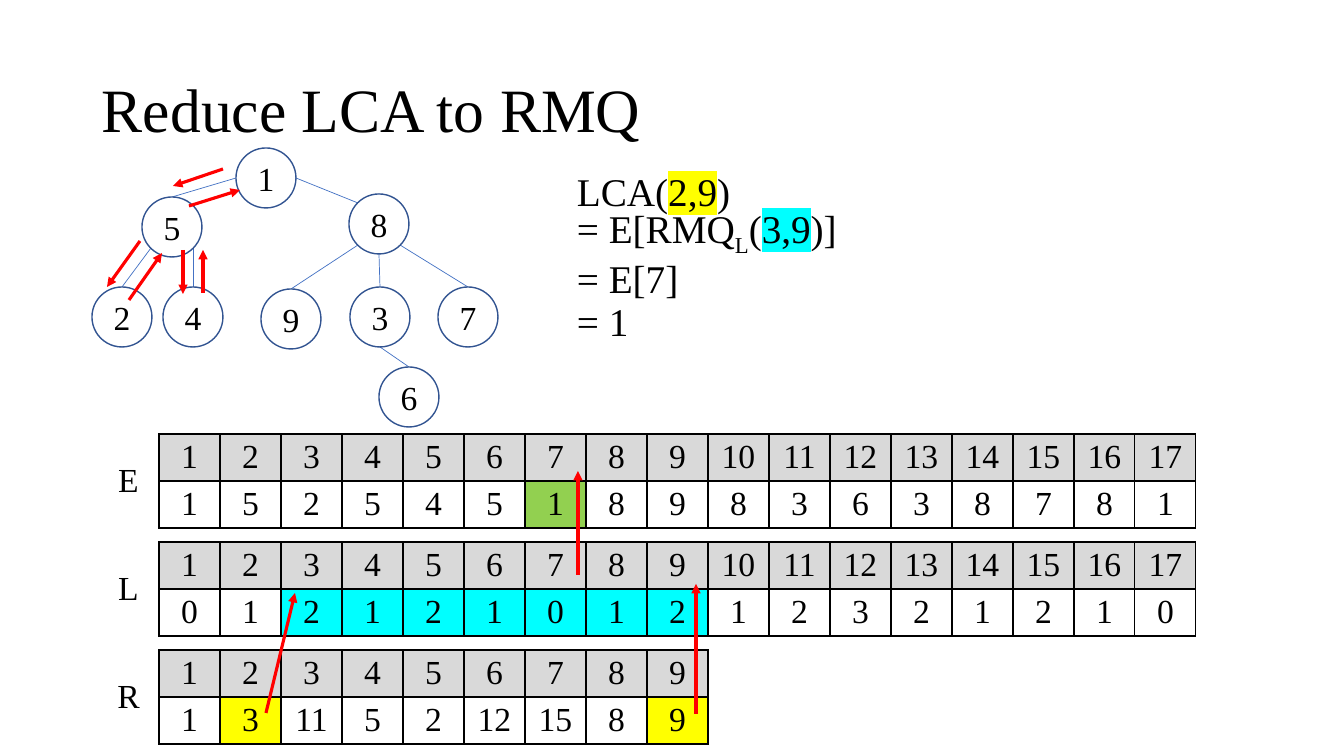
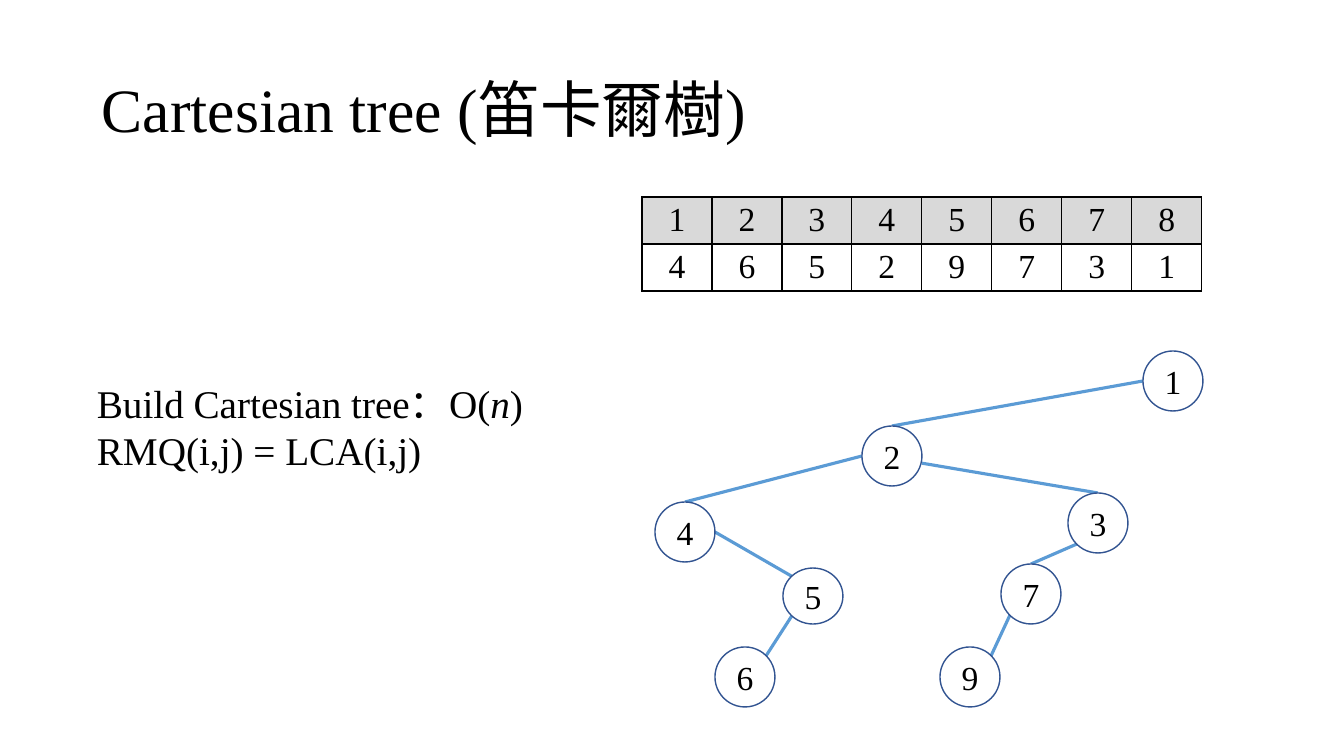
from lxml import etree
from pptx import Presentation
from pptx import util as u
from pptx.dml.color import RGBColor
from pptx.enum import shapes, text
from pptx.oxml import ns

# Shared style
PX = 12192000 / 1344
LATIN, CJK = "Times New Roman", "Noto Sans CJK SC"
BLACK, WHITE, GRAY = "000000", "FFFFFF", "D9D9D9"
YELLOW, CYAN, GREEN, RED = "FFFF00", "00FFFF", "92D050", "FF0000"
OUTLINE, THIN_EDGE, THICK_EDGE = "325491", "4472C4", "5B9BD5"
NODE, ROW_H = 60, 47
TITLE_BOX = (92, 40, 1159, 146)
# Points on a node's box, as fractions of its width and height
PORTS = {"n": (0.5, 0), "s": (0.5, 1), "w": (0, 0.5), "e": (1, 0.5),
         "nw": (0.15, 0.15), "ne": (0.85, 0.15),
         "sw": (0.15, 0.85), "se": (0.85, 0.85), "ese": (1, 0.62)}

# Slide 1: tree, walk, arrays
LCA_TITLE = "Reduce LCA to RMQ"
LCA_NODES = {1: (236, 148), 5: (142, 197), 2: (92, 287), 4: (163, 287),
             8: (349, 194), 9: (261, 289), 3: (350, 287), 6: (379, 367),
             7: (438, 287)}
LCA_EDGES = [(1, "w", 5, "n"), (5, "sw", 2, "n"), (5, "se", 4, "n"),
             (1, "e", 8, "nw"), (8, "sw", 9, "n"), (8, "se", 7, "n"),
             (8, "s", 3, "n"), (3, "s", 6, "n")]
WALK_ARROWS = [(223, 169, 173, 186), (140, 241, 107, 287),
               (129, 300, 162, 253), (183, 250, 183, 294),
               (203, 293, 203, 250), (189, 206, 240, 190)]
LOOKUP_ARROWS = [(266, 713, 295, 593), (696, 714, 696, 584),
                 (578, 575, 578, 471)]
# Label, values, {index: highlight}
ARRAYS = [
    ("E", [1, 5, 2, 5, 4, 5, 1, 8, 9, 8, 3, 6, 3, 8, 7, 8, 1], {7: GREEN}),
    ("L", [0, 1, 2, 1, 2, 1, 0, 1, 2, 1, 2, 3, 2, 1, 2, 1, 0],
     dict.fromkeys(range(3, 10), CYAN)),
    ("R", [1, 3, 11, 5, 2, 12, 15, 8, 9], {2: YELLOW, 9: YELLOW}),
]
# Lines of (text, style) runs
LCA_LINES = [
    [("LCA(", {}), ("2,9", {"mark": YELLOW}), (")", {})],
    [("= E[RMQ", {}), ("L", {"sub": True}), ("(", {}),
     ("3,9", {"mark": CYAN}), (")]", {})],
    [("= E[7]", {})],
    [("= 1", {})],
]

# Slide 2: array, tree, costs
CARTESIAN_TITLE = "Cartesian tree (笛卡爾樹)"
CARTESIAN_VALUES = [4, 6, 5, 2, 9, 7, 3, 1]
CARTESIAN_NODES = {9: (940, 647), 7: (1001, 564), 3: (1068, 493),
                   1: (1143, 351), 2: (862, 426), 4: (655, 502),
                   5: (783, 568, 56), 6: (715, 647)}
CARTESIAN_EDGES = [(2, "ese", 3, "n"), (3, "sw", 7, "n"), (7, "sw", 9, "ne"),
                   (1, "w", 2, "n"), (2, "w", 4, "n"), (4, "e", 5, "nw"),
                   (5, "sw", 6, "ne")]
CARTESIAN_LINES = [
    [("Build Cartesian tree：O(", {}), ("n", {"italic": True}), (")", {})],
    [("RMQ(i,j) = LCA(i,j)", {})],
]


def px(*values):
    return [u.Emu(round(v * PX)) for v in values]


def color(value):
    return RGBColor.from_string(value)


def sub(parent, tag, **attrs):
    return etree.SubElement(parent, ns.qn(tag), attrs)


def style_run(r, size, mark=None, sub_script=False, italic=False):
    r.font.size = u.Pt(size)
    r.font.color.rgb = color(BLACK)
    rpr = r.font._element
    if italic:
        r.font.italic = True
    if sub_script:
        rpr.set("baseline", "-25000")
    if mark:
        sub(sub(rpr, "a:highlight"), "a:srgbClr", val=mark)
    r.font.name = LATIN
    sub(rpr, "a:ea", typeface=CJK)


def add_runs(p, runs, size):
    for words, style in runs:
        r = p.add_run()
        r.text = words
        style_run(r, size, style.get("mark"), style.get("sub", False),
                  style.get("italic", False))


def center_text(tf, words, size=24):
    p = tf.paragraphs[0]
    p.text = str(words)
    p.alignment = text.PP_ALIGN.CENTER
    style_run(p.runs[0], size)


def add_box(s, box):
    tf = s.shapes.add_textbox(*px(*box)).text_frame
    tf.word_wrap = True
    return tf


def add_slide(prs, title):
    s = prs.slides.add_slide(prs.slide_layouts[6])
    tf = add_box(s, TITLE_BOX)
    tf.vertical_anchor = text.MSO_ANCHOR.MIDDLE
    p = tf.paragraphs[0]
    p.line_spacing = 0.9
    add_runs(p, [(title, {})], 44)
    return s


def add_line(s, ends, line_color, width, arrow=False):
    line = s.shapes.add_connector(shapes.MSO_CONNECTOR.STRAIGHT, *px(*ends))
    line.line.color.rgb = color(line_color)
    line.line.width = u.Pt(width)
    if arrow:
        sub(line.line._get_or_add_ln(), "a:tailEnd", type="triangle")
    sub(line._element.spPr, "a:effectLst")


def add_tree(s, nodes, edges, edge_color, edge_width):
    def port(name, side):
        x, y, *height = nodes[name]
        fx, fy = PORTS[side]
        return x + fx * NODE, y + fy * (height[0] if height else NODE)

    for parent, out, child, into in edges:
        add_line(s, port(parent, out) + port(child, into),
                 edge_color, edge_width)
    for name, (x, y, *height) in nodes.items():
        sp = s.shapes.add_shape(shapes.MSO_SHAPE.OVAL,
                                *px(x, y, NODE, *(height or [NODE])))
        sp.shadow.inherit = False
        sp.fill.solid()
        sp.fill.fore_color.rgb = color(WHITE)
        sp.line.color.rgb = color(OUTLINE)
        sp.line.width = u.Pt(1)
        tf = sp.text_frame
        tf.margin_left = tf.margin_right = 0
        tf.margin_top = tf.margin_bottom = 0
        tf.vertical_anchor = text.MSO_ANCHOR.MIDDLE
        center_text(tf, name)


def style_cell(cell, fill, sides):
    tcpr = cell._tc.get_or_add_tcPr()
    for side in "LRTB":
        ln = sub(tcpr, f"a:ln{side}", w="12700")
        if side in sides:
            sub(sub(ln, "a:solidFill"), "a:srgbClr", val=BLACK)
        else:
            sub(ln, "a:noFill")
    if fill:
        cell.fill.solid()
        cell.fill.fore_color.rgb = color(fill)
    else:
        cell.fill.background()
    cell.margin_left = cell.margin_right = 0
    cell.margin_top = cell.margin_bottom = 0
    cell.vertical_anchor = text.MSO_ANCHOR.MIDDLE


def add_array(s, x, y, col_w, values, marks, label=None):
    """Index row over value row, with an optional label column at the left."""
    first = 1 if label else 0
    cols = len(values) + first
    table = s.shapes.add_table(
        2, cols, *px(x, y, col_w * cols, 2 * ROW_H)).table
    table.first_row = table.horz_banding = False
    for col in table.columns:
        col.width = px(col_w)[0]
    for row in table.rows:
        row.height = px(ROW_H)[0]
    if label:
        for i in range(2):
            style_cell(table.cell(i, 0), None, "R")
        table.cell(0, 0).merge(table.cell(1, 0))
        center_text(table.cell(0, 0).text_frame, label)
    for i, value in enumerate(values, 1):
        pairs = [(i, GRAY), (value, marks.get(i))]
        for row, (words, fill) in enumerate(pairs):
            cell = table.cell(row, i - 1 + first)
            style_cell(cell, fill, "LRTB")
            center_text(cell.text_frame, words)


def build_lca(prs):
    s = add_slide(prs, LCA_TITLE)
    add_tree(s, LCA_NODES, LCA_EDGES, THIN_EDGE, 0.5)
    for i, (label, values, marks) in enumerate(ARRAYS):
        add_array(s, 98, 434 + 108 * i, 61, values, marks, label)
    # Derivation: one paragraph with line breaks
    p = add_box(s, (567, 166, 413, 190)).paragraphs[0]
    p.line_spacing = u.Pt(31)
    for i, runs in enumerate(LCA_LINES):
        if i:
            p.add_line_break()
        add_runs(p, runs, 28)
    for ends in WALK_ARROWS + LOOKUP_ARROWS:
        add_line(s, ends, RED, 2.25, arrow=True)


def build_cartesian(prs):
    s = add_slide(prs, CARTESIAN_TITLE)
    add_array(s, 642, 197, 70, CARTESIAN_VALUES, {})
    add_tree(s, CARTESIAN_NODES, CARTESIAN_EDGES, THICK_EDGE, 2.25)
    tf = add_box(s, (87, 374, 500, 105))
    for i, runs in enumerate(CARTESIAN_LINES):
        add_runs(tf.add_paragraph() if i else tf.paragraphs[0], runs, 28)


def main():
    prs = Presentation()
    prs.slide_width, prs.slide_height = px(1344, 756)
    build_lca(prs)
    build_cartesian(prs)
    prs.save("out.pptx")


if __name__ == "__main__":
    main()
